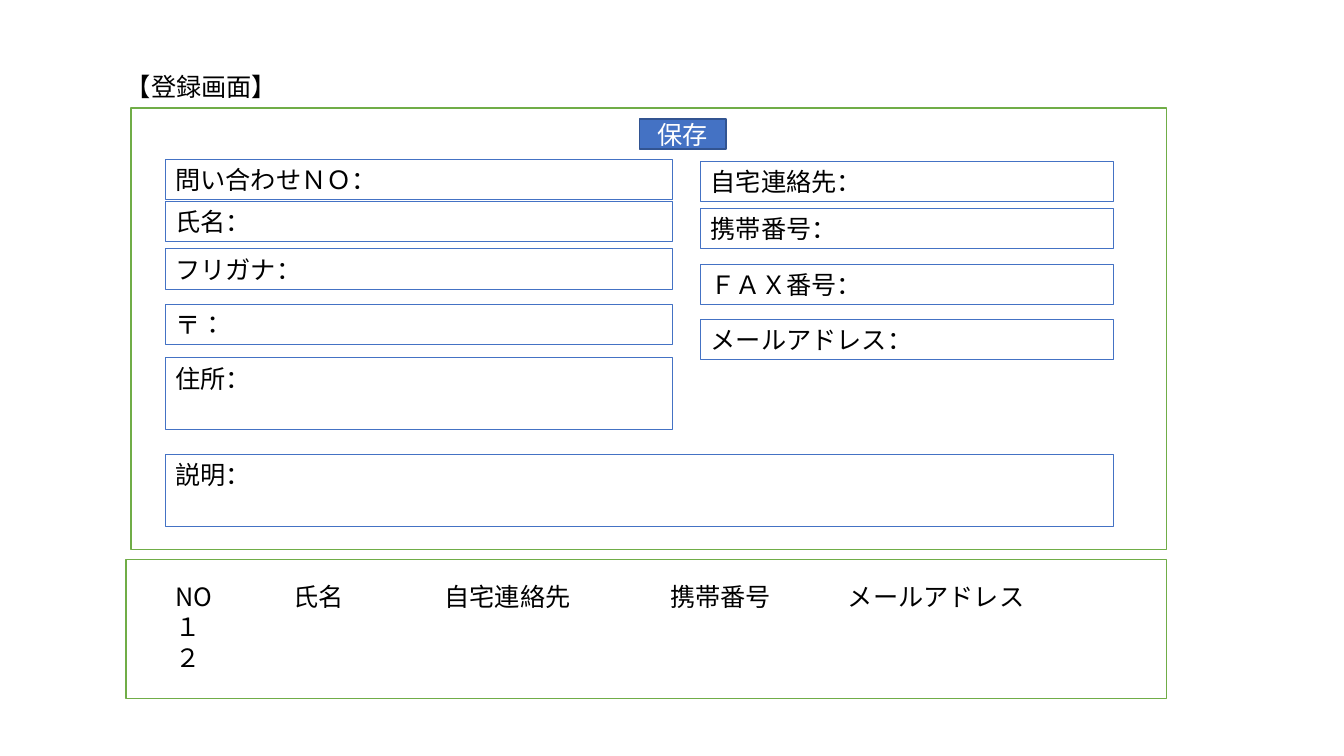
"""Builds a customer registration screen mock-up on one slide."""
from lxml import etree
from pptx import Presentation
from pptx import util as u
from pptx.dml.color import RGBColor
from pptx.enum import shapes, text
from pptx.oxml import ns

COLORS = {"text": "000000", "white": "FFFFFF", "field": "4472C4",
          "button_edge": "325491", "frame": "70AD47"}


class Screen:
    """Holds the style and the current slide."""

    font = "Noto Sans CJK JP"
    size = u.Pt(18)

    def __init__(self, s):
        self.s = s

    def color(self, name):
        return RGBColor.from_string(COLORS[name])

    def fill_text(self, sp, lines, color="text", align=text.PP_ALIGN.LEFT,
                  anchor=text.MSO_ANCHOR.TOP, tabs=()):
        tf = sp.text_frame
        tf.word_wrap = True
        tf.vertical_anchor = anchor
        tf.text = "\n".join(lines)
        for p in tf.paragraphs:
            p.alignment = align
            p.font.size = self.size
            p.font.name = self.font
            p.font.color.rgb = self.color(color)
            props = p._p.get_or_add_pPr()
            defaults = props.find(ns.qn("a:defRPr"))
            etree.SubElement(defaults, ns.qn("a:ea"), typeface=self.font)
            if tabs:
                stops = etree.Element(ns.qn("a:tabLst"))
                for tab in tabs:
                    etree.SubElement(stops, ns.qn("a:tab"),
                                     pos=str(u.Inches(tab)), algn="l")
                props.insert(0, stops)

    def label(self, x, y, w, h, lines, tabs=()):
        sp = self.s.shapes.add_textbox(*map(u.Inches, (x, y, w, h)))
        self.fill_text(sp, lines, tabs=tabs)

    def box(self, x, y, w, h, line, width=1, fill=None):
        sp = self.s.shapes.add_shape(shapes.MSO_SHAPE.RECTANGLE,
                                     *map(u.Inches, (x, y, w, h)))
        sp.shadow.inherit = False
        if fill:
            sp.fill.solid()
            sp.fill.fore_color.rgb = self.color(fill)
        else:
            sp.fill.background()
        sp.line.color.rgb = self.color(line)
        sp.line.width = u.Pt(width)
        return sp

    def frame(self, x, y, w, h):
        self.box(x, y, w, h, "frame", fill="white")

    def field(self, x, y, w, caption, h=0.4):
        sp = self.box(x, y, w, h, "field", 0.75)
        self.fill_text(sp, [caption + "\uff1a"])

    def button(self, x, y, w, h, caption):
        sp = self.box(x, y, w, h, "button_edge", fill="field")
        self.fill_text(sp, [caption], "white", text.PP_ALIGN.CENTER,
                       text.MSO_ANCHOR.MIDDLE)


prs = Presentation()
prs.slide_width, prs.slide_height = u.Inches(13.33), u.Inches(7.5)
screen = Screen(prs.slides.add_slide(prs.slide_layouts[6]))

LEFT, RIGHT = 1.64, 6.95
LEFT_WIDTH, RIGHT_WIDTH, TALL = 5.03, 4.09, 0.71

screen.label(1.15, 0.66, 11.04, 0.4, ["【登録画面】"])
screen.frame(1.3, 1.07, 10.27, 4.38)
for y, caption in [(1.58, "問い合わせ\uff2e\uff2f"), (2, "氏名"),
                   (2.47, "フリガナ"), (3.02, "〒")]:
    screen.field(LEFT, y, LEFT_WIDTH, caption)
screen.field(LEFT, 3.55, LEFT_WIDTH, "住所", TALL)
for y, caption in [(1.6, "自宅連絡先"), (2.07, "携帯番号"),
                   (2.62, "\uff26\uff21\uff38番号"), (3.17, "メールアドレス")]:
    screen.field(RIGHT, y, RIGHT_WIDTH, caption)
screen.field(LEFT, 4.51, RIGHT + RIGHT_WIDTH - LEFT, "説明", TALL)

screen.frame(1.25, 5.55, 10.32, 1.38)
headings = ["NO", "氏名", "自宅連絡先", "携帯番号", "メールアドレス"]
screen.label(LEFT, 5.72, 9.49, 1.01,
             ["\t".join(headings), "\uff11", "\uff12"],
             tabs=(1.17, 2.67, 4.91, 6.67))
screen.button(6.34, 1.18, 0.86, 0.3, "保存")

prs.save("out.pptx")
